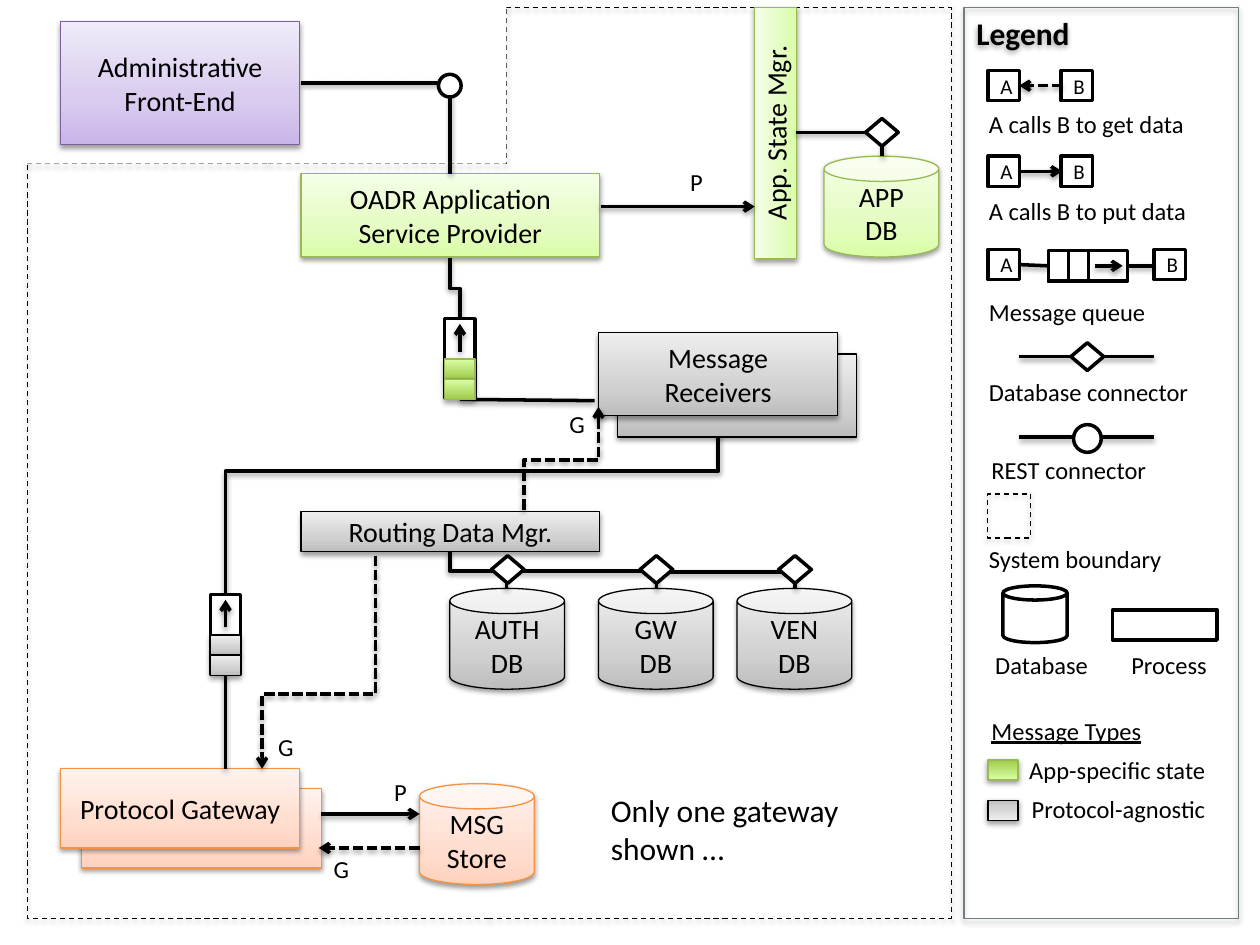
"""Builds the architecture diagram slide with its legend panel."""
from lxml import etree
from pptx import Presentation
from pptx.dml.color import RGBColor
from pptx.enum.dml import MSO_LINE
from pptx.enum.shapes import MSO_CONNECTOR, MSO_SHAPE
from pptx.enum.text import MSO_ANCHOR, MSO_AUTO_SIZE, PP_ALIGN
from pptx.oxml.ns import qn
from pptx.util import Inches, Pt

RECT, CAN = MSO_SHAPE.RECTANGLE, MSO_SHAPE.CAN
DIAMOND, OVAL = MSO_SHAPE.DIAMOND, MSO_SHAPE.OVAL
STRAIGHT, ELBOW = MSO_CONNECTOR.STRAIGHT, MSO_CONNECTOR.ELBOW
DASH, SHORT_DASH = MSO_LINE.DASH, MSO_LINE.SQUARE_DOT
LEFT, CENTER = PP_ALIGN.LEFT, PP_ALIGN.CENTER
TOP, MIDDLE = MSO_ANCHOR.TOP, MSO_ANCHOR.MIDDLE
FONT = "Calibri"

COLORS = {"black": "000000", "white": "FFFFFF", "green": "98B955",
          "orange": "F69240", "purple": "7D60A0", "slate": "727D82"}
GRADIENTS = {
    "green": ((0, "DAFDA7"), (35, "E4FCC2"), (100, "F5FFE7")),
    "lime": ((0, "A0CA4A"), (100, "DAFFA5")),
    "gray": ((0, "BDBDBD"), (35, "D1D1D1"), (100, "EEEEEE")),
    "orange": ((0, "FFD2BD"), (35, "FFDED0"), (100, "FFF2ED")),
    "purple": ((0, "C9B5E8"), (35, "D8CBEE"), (100, "F0EAF9")),
}
EDGES = {"green": "green", "lime": "green", "gray": "black",
         "orange": "orange", "purple": "purple"}

BOUNDARIES = [(0.22, 0.06, 7.33, 7.23), (0.22, 0.06, 3.8, 1.24)]
NOTCH = (0, 0, 4.02, 1.3)
PROCESSES = [
    ("", (0.65, 6.26, 1.9, 0.63), "orange", 0),
    ("Protocol Gateway", (0.48, 6.1, 1.9, 0.63), "orange", 0),
    ("", (4.9, 2.81, 1.9, 0.66), "gray", 0),
    ("Message\nReceivers", (4.75, 2.64, 1.9, 0.66), "gray", 0),
    ("OADR Application\nService Provider", (2.39, 1.38, 2.37, 0.66), "green", 0),
    ("Routing Data Mgr.", (2.39, 4.06, 2.37, 0.32), "gray", 0),
    ("App. State Mgr.", (5.16, 0.89, 1.99, 0.33), "green", 270),
    ("Administrative\nFront-End", (0.48, 0.17, 1.9, 0.98), "purple", 0),
]
DATABASES = [("AUTH\nDB", 3.57, 4.67, "gray"), ("GW\nDB", 4.75, 4.67, "gray"),
             ("VEN\nDB", 5.85, 4.67, "gray"), ("APP\nDB", 6.54, 1.24, "green"),
             ("MSG\nStore", 3.33, 6.22, "orange")]
RECEIVER_ROUTE = (5.7, 3.31, 1.79, 4.72, 3.74)
ROUTES = [
    ((3.57, 2.05, 3.65, 2.53, 2.29), {}),
    ((3.57, 4.38, 5.21, 4.67, 4.53), {}),
    ((5.21, 4.62, 6.31, 4.67, 4.54), {}),
    ((4.75, 3.23, 4.16, 4.07, 3.65), {"dash": SHORT_DASH, "arrow": "head"}),
    ((2.98, 4.41, 2.08, 6.1, 5.51), {"dash": SHORT_DASH, "arrow": "tail"}),
]
CORNERS = [(2.39, 0.66, 3.57, 1.38), (6.32, 1.05, 7, 1.24)]
LINES = [
    ((3.65, 3.17, 4.72, 3.18), {}),
    ((1.79, 6.1, 1.79, 5.35), {}),
    ((4.02, 4.45, 4.02, 4.67), {}),
    ((2.55, 6.46, 3.33, 6.46), {"arrow": "tail"}),
    ((3.33, 6.73, 2.53, 6.73), {"dash": SHORT_DASH, "arrow": "tail"}),
    ((4.77, 1.64, 5.99, 1.64), {"arrow": "tail"}),
    ((8.43, 0.68, 8.09, 0.68), {"dash": SHORT_DASH, "arrow": "tail"}),
    ((8.09, 1.36, 8.43, 1.36), {"arrow": "tail"}),
    ((8.09, 2.1, 8.32, 2.11), {}),
    ((8.95, 2.11, 9.16, 2.11), {}),
    ((8.09, 2.83, 9.16, 2.83), {}),
    ((8.09, 3.47, 9.16, 3.47), {}),
]
NODES = [(DIAMOND, x, y, 0.26, 0.22) for x, y in
         ((4.03, 4.52), (5.21, 4.52), (6.31, 4.52), (7, 1.05), (8.63, 2.83))]
NODES += [(OVAL, 3.57, 0.68, 0.18, 0.18), (OVAL, 8.63, 3.48, 0.22, 0.22)]
QUEUES = [(3.53, 2.53, "lime"), (1.67, 4.72, "gray")]
ENDPOINTS = [(0.56, 8.42), (1.24, 8.42), (1.98, 9.16)]
LABELS = [
    ("G", 4.42, 3.2, 0.33), ("G", 2.11, 5.76, 0.33), ("G", 2.55, 6.73, 0.33),
    ("P", 3.03, 6.12, 0.3), ("P", 5.38, 1.28, 0.3),
    ("A calls B to get data", 7.75, 0.82, 1.77),
    ("A calls B to put data", 7.75, 1.51, 1.79),
    ("Message queue", 7.75, 2.31, 1.45),
    ("Database connector", 7.75, 2.94, 1.8),
    ("REST connector", 7.77, 3.56, 1.45),
    ("System boundary", 7.75, 4.27, 1.59),
    ("Database", 7.8, 5.11, 0.95), ("Process", 8.88, 5.11, 0.81),
    ("App-specific state", 8.07, 5.94, 1.62),
    ("Protocol-agnostic", 8.09, 6.25, 1.6),
]

deck = Presentation()
deck.slide_width, deck.slide_height = Inches(10), Inches(7.5)
page = deck.slides.add_slide(deck.slide_layouts[6])


def rgb(name):
    return RGBColor.from_string(COLORS[name])


def add_shadow(effects, blur=3.1, distance=1.6, alpha=38):
    shade = etree.SubElement(effects, qn("a:outerShdw"), blurRad=str(Pt(blur)),
                             dist=str(Pt(distance)), dir="5400000", rotWithShape="0")
    color = etree.SubElement(shade, qn("a:srgbClr"), val=COLORS["black"])
    etree.SubElement(color, qn("a:alpha"), val=str(alpha * 1000))


def paint_gradient(shape, name):
    shape.fill.background()
    blank = shape.element.spPr.find(qn("a:noFill"))
    grad = etree.Element(qn("a:gradFill"), rotWithShape="1")
    stops = etree.SubElement(grad, qn("a:gsLst"))
    for place, value in GRADIENTS[name]:
        stop = etree.SubElement(stops, qn("a:gs"), pos=str(place * 1000))
        etree.SubElement(stop, qn("a:srgbClr"), val=value)
    etree.SubElement(grad, qn("a:lin"), ang="16200000", scaled="0")
    blank.getparent().replace(blank, grad)


def write(box, text, size=16, align=CENTER, anchor=MIDDLE, wrap=True, bold=False, underline=False):
    frame = box.text_frame
    frame.word_wrap, frame.vertical_anchor = wrap, anchor
    for index, line in enumerate(text.split("\n")):
        para = frame.add_paragraph() if index else frame.paragraphs[0]
        para.alignment = align
        span = para.add_run()
        span.text = line
        font = span.font
        font.name, font.size, font.bold, font.underline = FONT, Pt(size), bold, underline
        font.color.rgb = rgb("black")


def add_box(at, kind=RECT, gradient=None, fill=None, edge="black", width=0.75,
            dash=None, rotation=0, shadow=True, text="", **style):
    box = page.shapes.add_shape(kind, *map(Inches, at))
    box.rotation = rotation
    if gradient:
        paint_gradient(box, gradient)
        edge = EDGES[gradient]
    elif fill:
        box.fill.solid()
        box.fill.fore_color.rgb = rgb(fill)
    else:
        box.fill.background()
    if edge:
        box.line.color.rgb, box.line.width = rgb(edge), Pt(width)
        box.line.dash_style = dash
    else:
        box.line.fill.background()
    box.shadow.inherit = False
    if shadow:
        add_shadow(box.element.spPr.find(qn("a:effectLst")))
    if text:
        write(box, text, **style)


def add_symbol(at, **style):
    add_box(at, fill="white", width=2, shadow=False, **style)


def add_line(ends, kind=STRAIGHT, dash=None, arrow=None):
    line = page.shapes.add_connector(kind, *map(Inches, ends))
    line.line.color.rgb, line.line.width = rgb("black"), Pt(2)
    line.line.dash_style = dash
    properties = line.element.spPr
    if arrow:
        etree.SubElement(properties.find(qn("a:ln")), qn(f"a:{arrow}End"), type="arrow")
    add_shadow(etree.SubElement(properties, qn("a:effectLst")))
    return line, properties.find(qn("a:prstGeom"))


def add_route(x1, y1, x2, y2, turn, **style):
    """Draws a connector going down, across at the turn, and down again."""
    middle_x, middle_y = (x1 + x2) / 2, (y1 + y2) / 2
    run, rise = (y2 - y1) / 2, (x1 - x2) / 2
    ends = (middle_x - run, middle_y - rise, middle_x + run, middle_y + rise)
    line, geometry = add_line(ends, ELBOW, **style)
    line.rotation = 90
    guides = geometry.find(qn("a:avLst"))
    if guides is None:
        guides = etree.SubElement(geometry, qn("a:avLst"))
    share = round((turn - y1) / (y2 - y1) * 100000)
    etree.SubElement(guides, qn("a:gd"), name="adj1", fmla=f"val {share}")


def add_label(text, x, y, width, height=0.34, size=14, **style):
    box = page.shapes.add_textbox(*map(Inches, (x, y, width, height)))
    write(box, text, size=size, align=LEFT, anchor=TOP, wrap=False, **style)
    box.text_frame.auto_size = MSO_AUTO_SIZE.SHAPE_TO_FIT_TEXT


for boundary in BOUNDARIES:
    add_box(boundary, dash=DASH)
add_box(NOTCH, fill="white", edge=None, shadow=False)
add_box((7.65, 0.06, 2.18, 7.23), edge="slate", text="Legend", size=18,
        align=LEFT, anchor=TOP, bold=True)
add_route(*RECEIVER_ROUTE)
for text, at, gradient, rotation in PROCESSES:
    add_box(at, gradient=gradient, rotation=rotation, text=text)
for text, x, y, gradient in DATABASES:
    add_box((x, y, 0.91, 0.8), kind=CAN, gradient=gradient, text=text)
for y, right in ENDPOINTS:
    for text, x in (("A", 7.84), ("B", right)):
        add_symbol((x, y, 0.25, 0.24), text=text, size=12, align=LEFT)
for route, style in ROUTES:
    add_route(*route, **style)
for ends in CORNERS:
    add_line(ends, ELBOW)[1].set("prst", "bentConnector2")
for ends, style in LINES:
    add_line(ends, **style)
for kind, x, y, width, height in NODES:
    add_symbol((x - width / 2, y - height / 2, width, height), kind=kind)
for x, y, gradient in QUEUES:
    add_symbol((x, y, 0.24, 0.63))
    for step in (2, 3):
        add_box((x, y + step * 0.16, 0.24, 0.16), gradient=gradient)
    add_line((x + 0.12, y + 0.26, x + 0.12, y + 0.04), arrow="tail")
for width in (0.63, 0.32, 0.16):
    add_symbol((8.32, 1.99, width, 0.24))
add_line((8.69, 2.11, 8.91, 2.11), arrow="tail")
add_box((7.84, 3.92, 0.34, 0.35), dash=DASH)
add_symbol((7.96, 4.65, 0.51, 0.45), kind=CAN)
add_symbol((8.83, 4.84, 0.83, 0.24))
for y, gradient in ((6.03, "lime"), (6.35, "gray")):
    add_box((7.84, y, 0.24, 0.16), gradient=gradient, rotation=180)
for label in LABELS:
    add_label(*label)
add_label("Message Types", 7.77, 5.63, 1.41, underline=True)
add_label("Only one gateway\nshown …", 4.75, 6.23, 2.04, 0.71, size=18)
deck.save("out.pptx")
